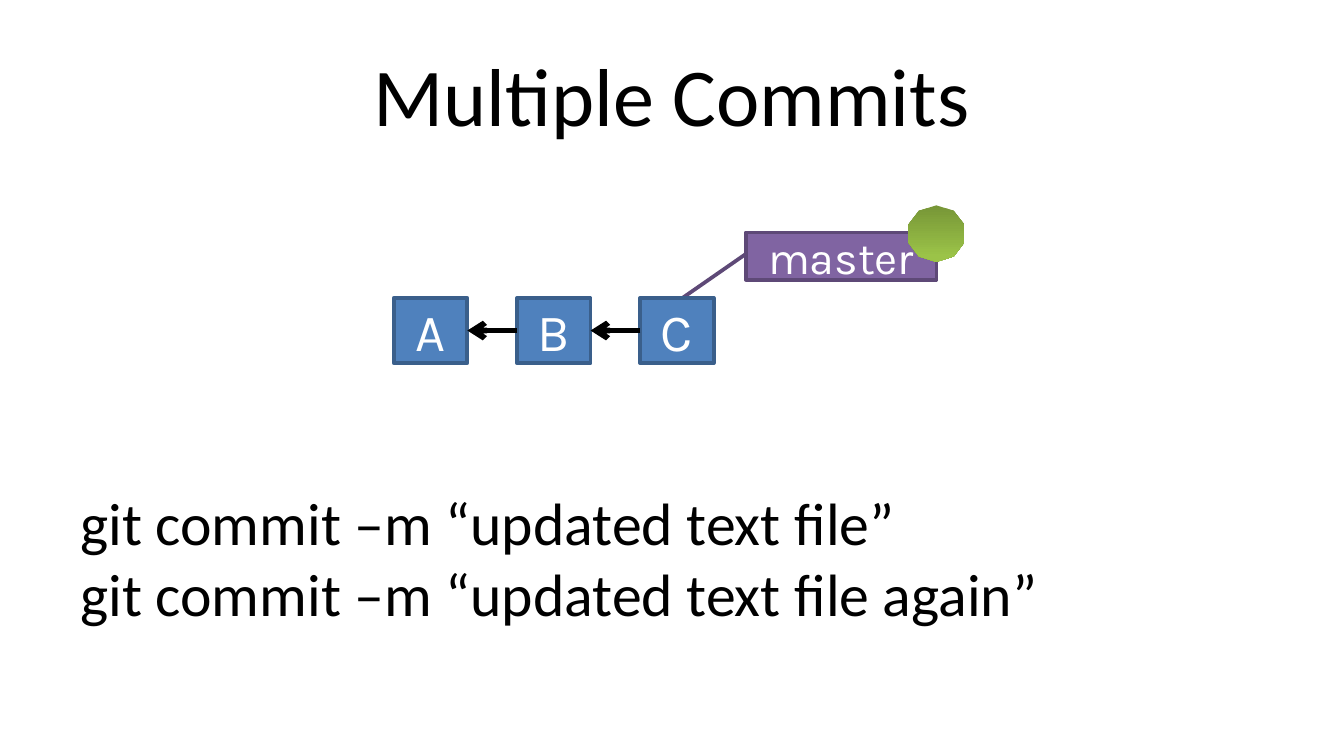
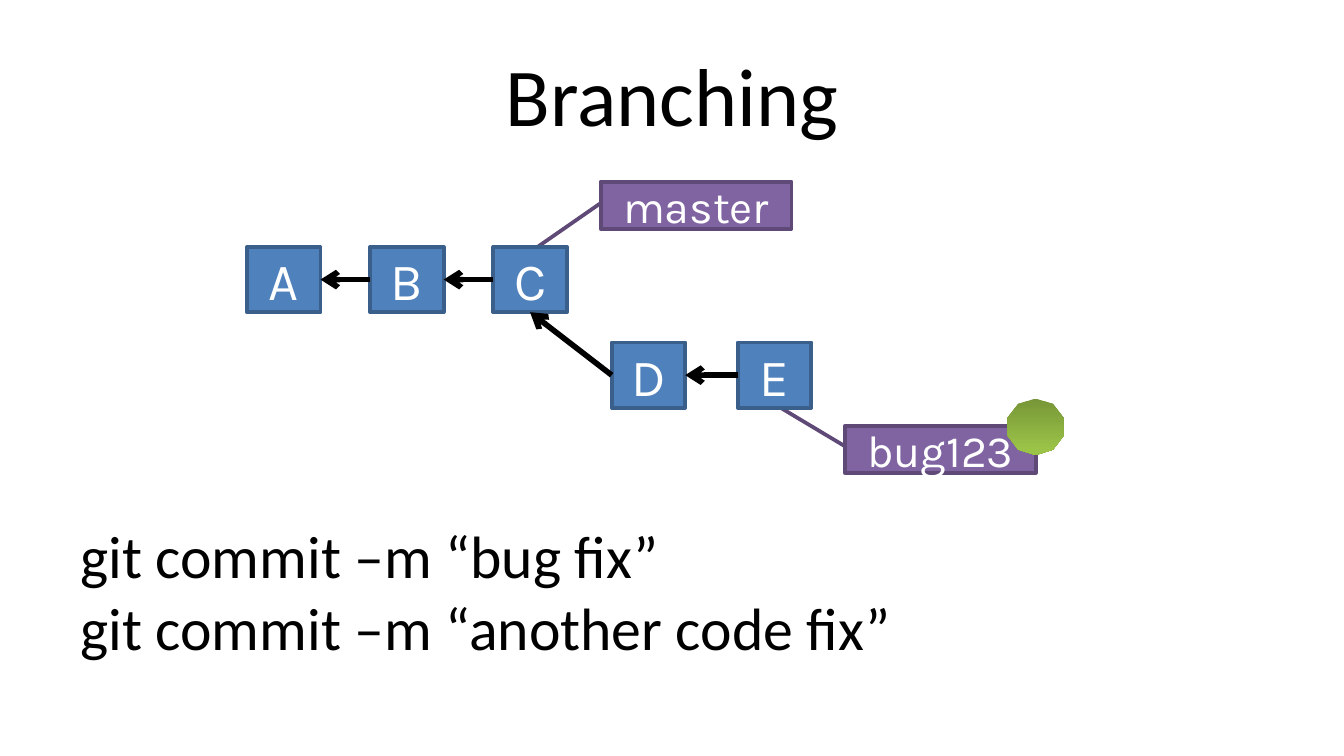
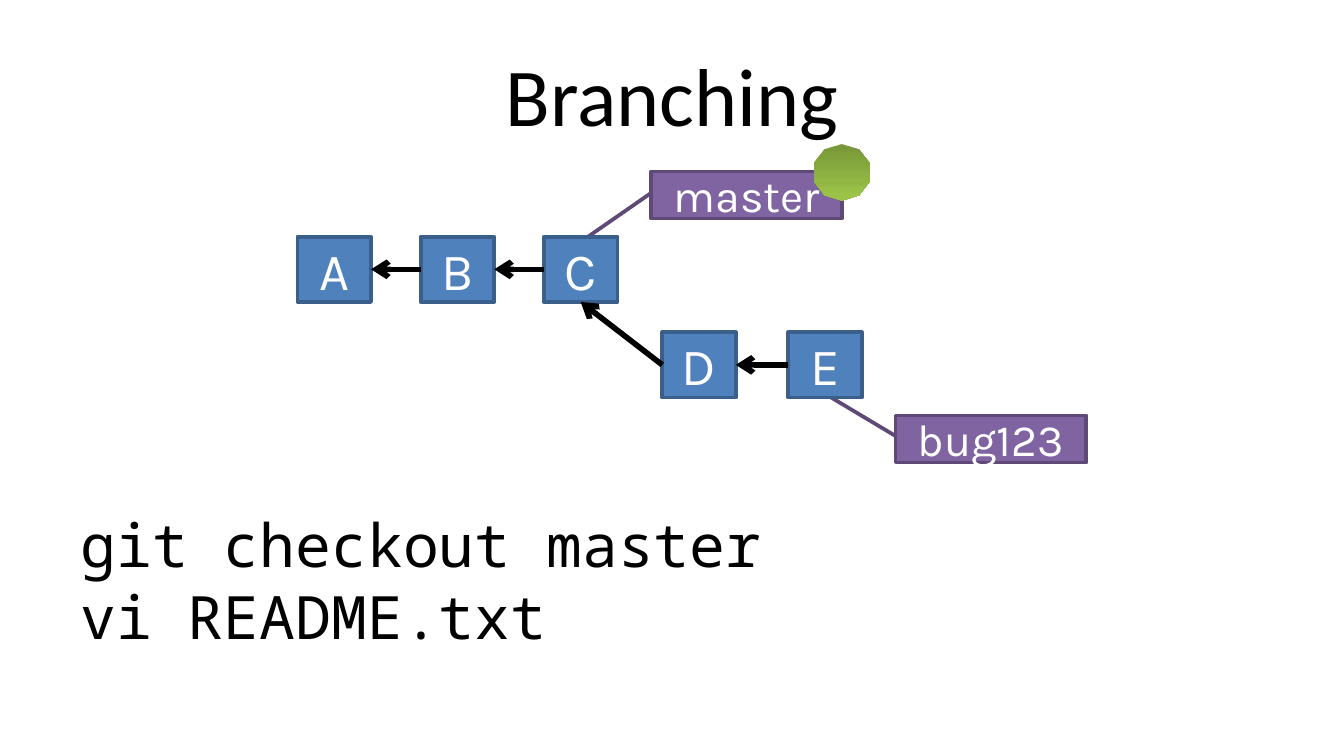
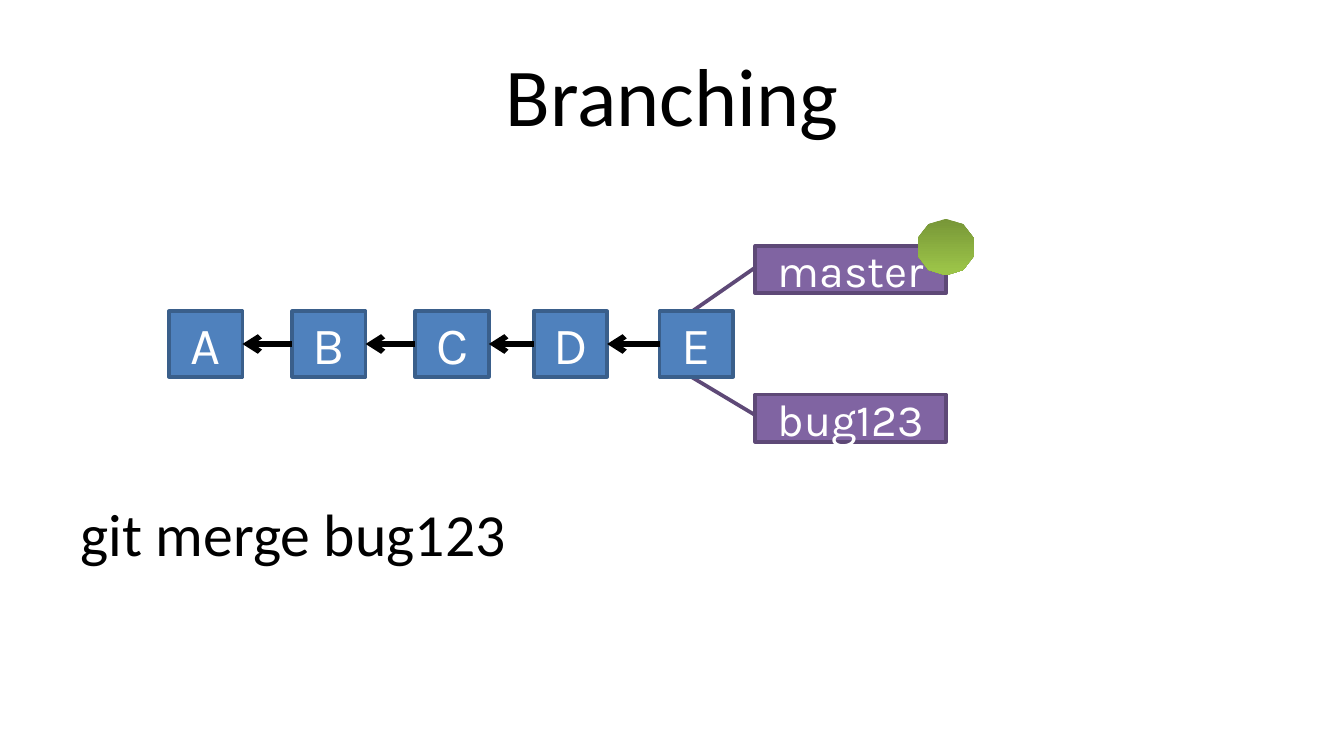
from dataclasses import dataclass

from lxml import etree
from pptx import Presentation
from pptx.dml.color import RGBColor
from pptx.enum import shapes, text
from pptx.oxml import ns
from pptx.util import Pt


@dataclass(frozen=True)
class Theme:
    black: RGBColor = RGBColor.from_string("000000")
    white: RGBColor = RGBColor.from_string("FFFFFF")
    commit_fill: RGBColor = RGBColor.from_string("4F81BD")
    commit_edge: RGBColor = RGBColor.from_string("3A5F8B")
    branch_fill: RGBColor = RGBColor.from_string("8064A2")
    branch_edge: RGBColor = RGBColor.from_string("5E4977")
    head_top: RGBColor = RGBColor.from_string("779637")
    head_bottom: RGBColor = RGBColor.from_string("9BC348")
    body_font: str = "Calibri"
    code_font: str = "Noto Sans Mono"
    label_font: str = "Karla"
    title_size: float = 44
    command_size: float = 32
    commit_size: float = 28
    branch_size: float = 24
    edge_width: float = 2
    arrow_width: float = 3


THEME = Theme()
TOP, LEFT, BOTTOM, RIGHT = range(4)

COMMIT_WIDTH, COMMIT_HEIGHT = 39.4, 35
COMMIT_OFFSETS = {"A": 0, "B": 66, "C": 132, "D": 195.4, "E": 262.9}
ROW_DROP = 51.2
BRANCH_WIDTH, BRANCH_HEIGHT = 102.2, 25.2
BRANCH_RISE, BRANCH_DROP = -35, 44.6
HEAD_OFFSET = (87, -14.6)
HEAD_WIDTH, HEAD_HEIGHT = 30.2, 27.4
POINTER_UP = (0.446, 0.004, 1.383, -0.329)
POINTER_DOWN = (0.446, 0.004, -0.389, -0.34)


@dataclass(frozen=True)
class Branch:
    name: str
    commit: str
    below: bool = False


@dataclass(frozen=True)
class History:
    """One slide: a commit graph with the commands that lead to it."""
    title: str
    commands: tuple[str, ...]
    command_top: float
    left: float
    top: float
    commits: str
    branches: tuple[Branch, ...]
    head: str
    lower_row: str = ""
    branch_gap: float = 56.5
    command_width: float = 648
    command_font: str = THEME.body_font

    def commit_place(self, name: str) -> tuple[float, float]:
        drop = ROW_DROP if name in self.lower_row else 0
        return self.left + COMMIT_OFFSETS[name], self.top + drop

    def branch_place(self, branch: Branch) -> tuple[float, float]:
        left, top = self.commit_place(branch.commit)
        shift = BRANCH_DROP if branch.below else BRANCH_RISE
        return left + self.branch_gap, top + shift


MASTER_AT_C = Branch("master", "C")
BUG_AT_E = Branch("bug123", "E", below=True)

HISTORIES = (
    History("Multiple Commits",
            ("git commit –m “updated text file”",
             "git commit –m “updated text file again”"),
            256.5, 211, 159.6, "ABC", (MASTER_AT_C,), "master"),
    History("Branching",
            ("git commit –m “bug fix”", "git commit –m “another code fix”"),
            274.5, 132.3, 132.3, "ABCDE", (MASTER_AT_C, BUG_AT_E), "bug123",
            lower_row="DE", branch_gap=57.5),
    History("Branching", ("git checkout master", "vi README.txt"),
            268.5, 159.4, 126.8, "ABCDE", (MASTER_AT_C, BUG_AT_E), "master",
            lower_row="DE", branch_gap=57.5, command_width=414,
            command_font=THEME.code_font),
    History("Branching", ("git merge bug123",),
            262.5, 90.5, 166.8, "ABCDE", (BUG_AT_E, Branch("master", "E")),
            "master", branch_gap=51.2),
)


def style_paragraph(para, font: str, size: float, color: RGBColor, align) -> None:
    para.alignment = align
    para.font.name = font
    para.font.size = Pt(size)
    para.font.color.rgb = color


def add_title(page, title: str) -> None:
    box = page.shapes.title
    box.left, box.top, box.width, box.height = Pt(36), Pt(16.5), Pt(648), Pt(67.5)
    box.text_frame.text = title
    box.text_frame.vertical_anchor = text.MSO_ANCHOR.MIDDLE
    style_paragraph(box.text_frame.paragraphs[0], THEME.body_font,
                    THEME.title_size, THEME.black, text.PP_ALIGN.CENTER)


def add_commands(page, history: History) -> None:
    box = page.shapes.add_textbox(Pt(36), Pt(history.command_top),
                                  Pt(history.command_width),
                                  Pt(361.5 - history.command_top))
    frame = box.text_frame
    frame.word_wrap = True
    frame.text = "\n".join(history.commands)
    for para in frame.paragraphs:
        style_paragraph(para, history.command_font, THEME.command_size,
                        THEME.black, text.PP_ALIGN.LEFT)


def add_label(page, kind, place: tuple[float, float], size: tuple[float, float],
              label: str, font_size: float, fill: RGBColor, edge: RGBColor):
    """Add an outlined shape with centred white text."""
    box = page.shapes.add_shape(kind, *map(Pt, place + size))
    box.shadow.inherit = False
    box.fill.solid()
    box.fill.fore_color.rgb = fill
    box.line.color.rgb = edge
    box.line.width = Pt(THEME.edge_width)
    box.text_frame.text = label
    box.text_frame.vertical_anchor = text.MSO_ANCHOR.MIDDLE
    style_paragraph(box.text_frame.paragraphs[0], THEME.label_font, font_size,
                    THEME.white, text.PP_ALIGN.CENTER)
    return box


def add_branch(page, branch: Branch, place: tuple[float, float]) -> None:
    box = add_label(page, shapes.MSO_SHAPE.LINE_CALLOUT_1, place,
                    (BRANCH_WIDTH, BRANCH_HEIGHT), branch.name,
                    THEME.branch_size, THEME.branch_fill, THEME.branch_edge)
    pointer = POINTER_DOWN if branch.below else POINTER_UP
    # A pointer that leaves downwards has its tip below the commit's edge line.
    for index, value in enumerate(pointer):
        box.adjustments[index] = value


def add_commit(page, name: str, place: tuple[float, float]):
    return add_label(page, shapes.MSO_SHAPE.RECTANGLE, place,
                     (COMMIT_WIDTH, COMMIT_HEIGHT), name, THEME.commit_size,
                     THEME.commit_fill, THEME.commit_edge)


def add_parent_arrow(page, child, parent) -> None:
    arrow = page.shapes.add_connector(shapes.MSO_CONNECTOR.STRAIGHT, 0, 0, 0, 0)
    arrow.begin_connect(child, LEFT)
    arrow.end_connect(parent, RIGHT if child.top == parent.top else BOTTOM)
    arrow.line.color.rgb = THEME.black
    arrow.line.width = Pt(THEME.arrow_width)
    line = arrow.line._get_or_add_ln()
    etree.SubElement(line, ns.qn("a:tailEnd"), type="arrow")
    etree.SubElement(arrow._element.spPr, ns.qn("a:effectLst"))


def add_head(page, branch_place: tuple[float, float]) -> None:
    """Mark the checked-out branch with a ten-sided badge."""
    left, top = (at + shift for at, shift in zip(branch_place, HEAD_OFFSET))
    badge = page.shapes.add_shape(shapes.MSO_SHAPE.STAR_5_POINT, Pt(left), Pt(top),
                                  Pt(HEAD_WIDTH), Pt(HEAD_HEIGHT))
    badge.shadow.inherit = False
    badge.adjustments[0] = 1.106
    badge.line.fill.background()
    badge.fill.gradient()
    badge.fill.gradient_angle = 270
    for stop, position, color in zip(badge.fill.gradient_stops, (0, 1),
                                     (THEME.head_top, THEME.head_bottom)):
        stop.position = position
        stop.color.rgb = color


def add_history(deck, history: History) -> None:
    page = deck.slides.add_slide(deck.slide_layouts.get_by_name("Title Only"))
    add_title(page, history.title)
    add_commands(page, history)
    for branch in history.branches:
        add_branch(page, branch, history.branch_place(branch))
    commits = [add_commit(page, name, history.commit_place(name))
               for name in history.commits]
    for parent, child in zip(commits, commits[1:]):
        add_parent_arrow(page, child, parent)
    for branch in history.branches:
        if branch.name == history.head:
            add_head(page, history.branch_place(branch))


def main() -> None:
    deck = Presentation()
    deck.slide_width, deck.slide_height = Pt(720), Pt(405)
    for history in HISTORIES:
        add_history(deck, history)
    deck.save("out.pptx")


if __name__ == "__main__":
    main()
